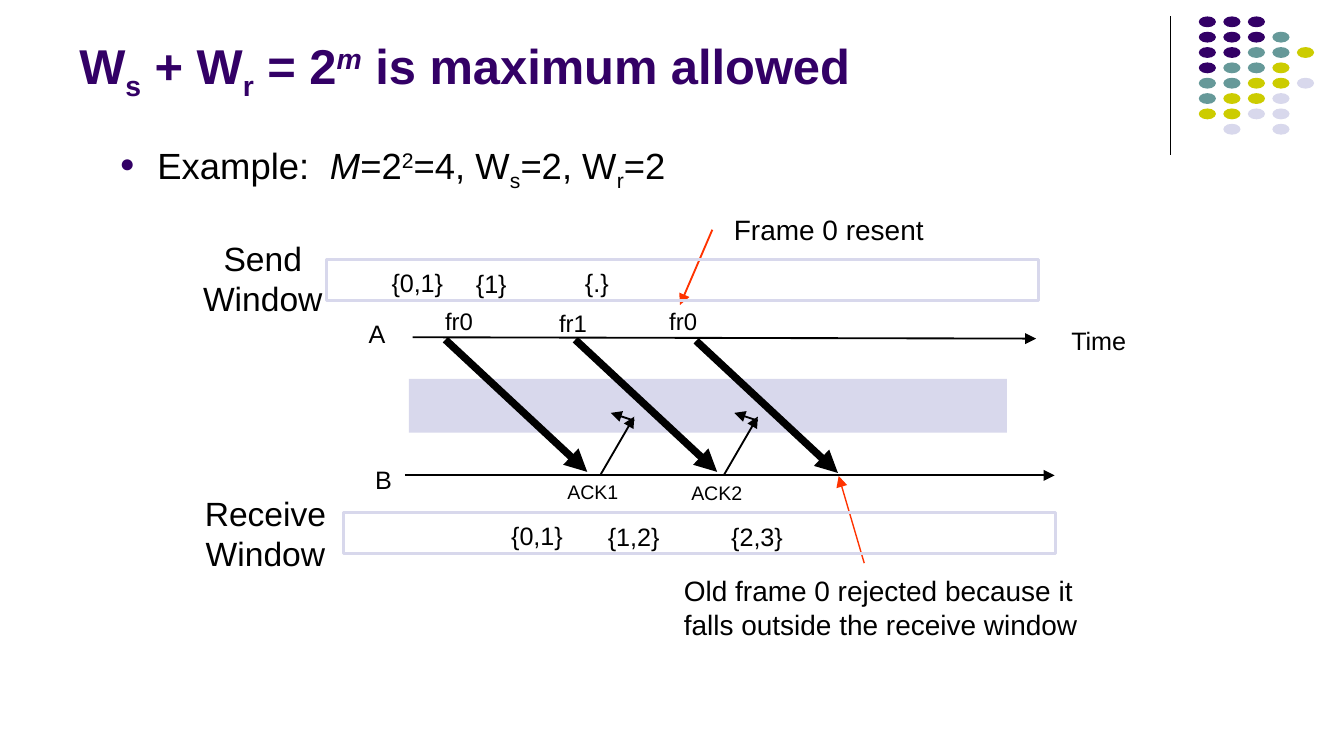
from lxml.etree import SubElement
from pptx import Presentation
from pptx.dml.color import RGBColor
from pptx.enum.shapes import MSO_CONNECTOR, MSO_SHAPE
from pptx.enum.text import MSO_ANCHOR, MSO_AUTO_SIZE, PP_ALIGN
from pptx.oxml.ns import qn
from pptx.util import Pt

BLACK = RGBColor(0x00, 0x00, 0x00)
PURPLE = RGBColor(0x33, 0x00, 0x66)
TEAL = RGBColor(0x66, 0x99, 0x99)
OLIVE = RGBColor(0xCC, 0xCC, 0x00)
LAVENDER = RGBColor(0xD8, 0xD8, 0xEC)
RED = RGBColor(0xFF, 0x33, 0x00)

SUB, SUP = -25000, 30000
TITLE = [("W", 0, False), ("s", SUB, False), (" + W", 0, False), ("r", SUB, False),
         (" = 2", 0, False), ("m", SUP, True), (" is maximum allowed", 0, False)]
EXAMPLE = [("Example:  ", 0, False), ("M", 0, True), ("=2", 0, False),
           ("2", SUP, False), ("=4, W", 0, False), ("s", SUB, False),
           ("=2, W", 0, False), ("r", SUB, False), ("=2", 0, False)]

DOT_COLORS = {"P": PURPLE, "T": TEAL, "O": OLIVE, "L": LAVENDER}
DOT_ROWS = ["PPP", "PPPT", "PPTTO", "PTTO", "TTOOL", "TOOL", "OOLL", " L L"]

LEFT, CENTER = PP_ALIGN.LEFT, PP_ALIGN.CENTER
STYLES = {
    "node": dict(size=13.5, inset=(6.5, 3.6), align=LEFT, wrap=False),
    "frame": dict(size=12.8, inset=(6.5, 3.6), align=CENTER, wrap=False),
    "ack": dict(size=10.5, inset=(4.5, 2.2), align=LEFT, wrap=False),
    "set": dict(size=13.5, inset=(7.2, 3.6), align=CENTER, wrap=False),
    "window": dict(size=18, inset=(7.2, 3.6), align=CENTER, wrap=True),
    "note": dict(size=15, inset=(5, 2.9), align=LEFT, wrap=True),
}
LABELS = [
    ("node", "A", 191, 167, 22, 23),
    ("node", "B", 194.5, 245, 22, 23),
    ("node", "Time", 567.4, 170.6, 43, 23),
    ("frame", "fr0", 225.4, 160.6, 41, 22.3),
    ("frame", "fr1", 293, 162, 28, 22.3),
    ("frame", "fr0", 352, 160.6, 28, 22.3),
    ("ack", "ACK1", 299.5, 254.9, 37.4, 17),
    ("ack", "ACK2", 365.8, 255.2, 37.4, 17),
    ("set", "{0,1}", 202.3, 139.9, 42.5, 23.8),
    ("set", "{1}", 247.7, 140.4, 31, 23.8),
    ("set", "{.}", 306, 139.9, 27.4, 23.8),
    ("set", "{0,1}", 266.4, 275.2, 42.5, 23.8),
    ("set", "{1,2}", 318.2, 275.8, 42.5, 23.8),
    ("set", "{2,3}", 384.3, 275.8, 42.5, 23.8),
    ("window", "Send Window", 100.8, 123.9, 80, 51),
    ("window", "Receive Window", 100.8, 260.6, 82.8, 51),
    ("note", "Frame 0 resent", 388.2, 111, 114, 23.8),
    ("note", "Old frame 0 rejected because it falls outside the receive window",
     361.4, 304.6, 229, 41.8),
]

CHANNEL = (219, 203, 320.4, 28.8)
WINDOWS = [(175, 139, 381.6, 21.9), (184, 274.5, 381.6, 21.9)]
TIMELINES = [(221, 180.7, 555.1, 181.4), (216.9, 254.7, 565, 254.7)]
FRAMES = [(238.6, 182), (308.2, 182), (372.9, 182.6)]
FRAME_RUN = (76, 70.8)
ACKS = [(321.8, 254.2), (388, 254.2)]
NOTE_ARROWS = [(381.6, 123.1, 364.3, 163.4, 1), (463, 301.7, 449.3, 255, 0.75)]


def add_line(s, x1, y1, x2, y2, color=BLACK, width=1, arrow=True):
    c = s.shapes.add_connector(MSO_CONNECTOR.STRAIGHT, Pt(x1), Pt(y1), Pt(x2), Pt(y2))
    c.line.color.rgb = color
    c.line.width = Pt(width)
    if arrow:
        SubElement(c.line._get_or_add_ln(), qn("a:tailEnd"), type="triangle")
    SubElement(c._element.spPr, qn("a:effectLst"))


def add_shape(s, kind, box, fill=None, line=None):
    sp = s.shapes.add_shape(kind, *map(Pt, box))
    sp.shadow.inherit = False
    if fill is None:
        sp.fill.background()
    else:
        sp.fill.solid()
        sp.fill.fore_color.rgb = fill
    if line is None:
        sp.line.fill.background()
    else:
        sp.line.color.rgb = line
        sp.line.width = Pt(1.5)


def add_run(p, text, **fmt):
    r = p.add_run()
    r.text = text
    r.font.color.rgb = fmt.pop("color", BLACK)
    for name, value in {"name": "Arial", **fmt}.items():
        setattr(r.font, name, value)
    return r


def add_label(s, style, text, *box):
    f = STYLES[style]
    tf = s.shapes.add_textbox(*map(Pt, box)).text_frame
    dx, dy = map(Pt, f["inset"])
    for name, value in dict(margin_left=dx, margin_right=dx, margin_top=dy,
                            margin_bottom=dy, word_wrap=f["wrap"]).items():
        setattr(tf, name, value)
    p = tf.paragraphs[0]
    p.alignment = f["align"]
    add_run(p, text, size=Pt(f["size"]))


def fill_placeholder(sp, box, anchor, runs, **fmt):
    for name, value in zip(("left", "top", "width", "height"), box):
        setattr(sp, name, Pt(value))
    tf = sp.text_frame
    tf.auto_size = MSO_AUTO_SIZE.NONE
    tf.vertical_anchor = anchor
    p = tf.paragraphs[0]
    p.alignment = LEFT
    p.space_before = Pt(0)
    for text, base, italic in runs:
        r = add_run(p, text, italic=italic, **fmt)
        if base:
            r.font._element.set("baseline", str(base))
    return p


def add_bullet(p):
    pPr = p._p.get_or_add_pPr()
    pPr.set("marL", str(Pt(20.2)))
    pPr.set("indent", str(-Pt(20.2)))
    SubElement(SubElement(pPr, qn("a:buClr")), qn("a:srgbClr"), val=str(PURPLE))
    SubElement(pPr, qn("a:buSzPct"), val="70000")
    SubElement(pPr, qn("a:buFont"), typeface="Arial")
    SubElement(pPr, qn("a:buChar"), char="●")


def main():
    prs = Presentation()
    prs.slide_width, prs.slide_height = Pt(720), Pt(405)
    s = prs.slides.add_slide(prs.slide_layouts[1])

    fill_placeholder(s.shapes.title, (35.3, 14.4, 594, 43.9), MSO_ANCHOR.BOTTOM,
                     TITLE, size=Pt(26.2), bold=True, color=PURPLE)
    body = s.placeholders[1]
    p = fill_placeholder(body, (56.9, 69.8, 486, 31.7), MSO_ANCHOR.TOP,
                         EXAMPLE, size=Pt(19.5))
    body.text_frame.margin_top = Pt(7.2)
    p.line_spacing = 0.9
    add_bullet(p)

    add_line(s, 627.1, 8.6, 627.1, 82.8, width=0.75, arrow=False)
    for row, codes in enumerate(DOT_ROWS):
        for col, code in enumerate(codes):
            if code in DOT_COLORS:
                box = (642.2 + 13.14 * col, 8.8 + 8.22 * row, 9.2, 5.8)
                add_shape(s, MSO_SHAPE.OVAL, box, fill=DOT_COLORS[code])

    add_shape(s, MSO_SHAPE.RECTANGLE, CHANNEL, fill=LAVENDER)
    for ends in TIMELINES:
        add_line(s, *ends)
    for x, y in FRAMES:
        add_line(s, x, y, x + FRAME_RUN[0], y + FRAME_RUN[1], width=4)
    for x, y in ACKS:
        add_line(s, x, y, x + 18, y - 31)
        add_line(s, x + 18, y - 28.8, x + 5.4, y - 33)
    for *ends, width in NOTE_ARROWS:
        add_line(s, *ends, color=RED, width=width)
    for box in WINDOWS:
        add_shape(s, MSO_SHAPE.RECTANGLE, box, line=LAVENDER)
    for label in LABELS:
        add_label(s, *label)

    prs.save("out.pptx")


if __name__ == "__main__":
    main()
